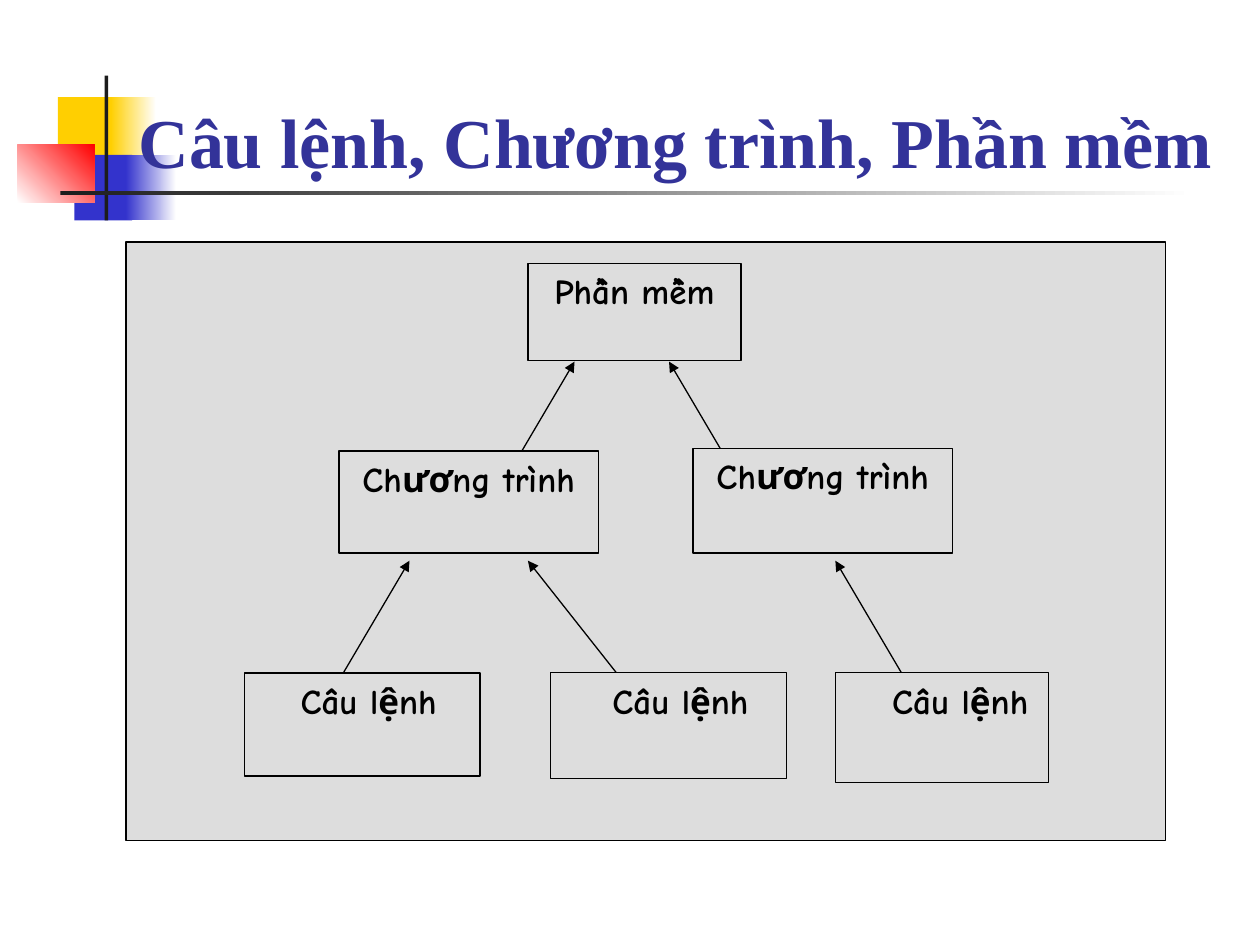
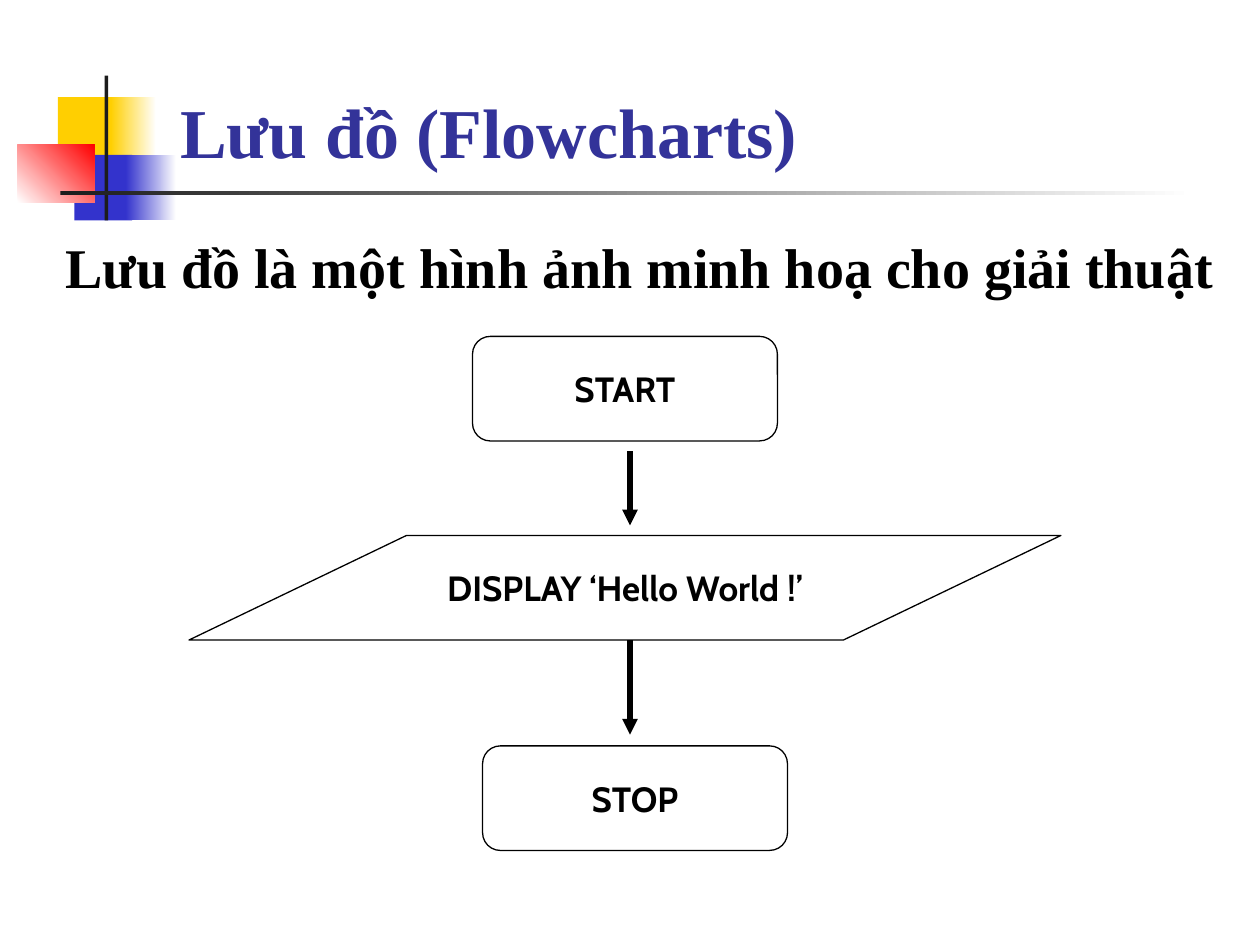
import dataclasses

import lxml.etree
import pptx
import pptx.dml.color
import pptx.enum.shapes
import pptx.enum.text
import pptx.oxml.ns
import pptx.util

Inches = pptx.util.Inches
Pt = pptx.util.Pt
RGB = pptx.dml.color.RGBColor.from_string
ShapeKind = pptx.enum.shapes.MSO_SHAPE
Align = pptx.enum.text.PP_ALIGN
Anchor = pptx.enum.text.MSO_ANCHOR


@dataclasses.dataclass(frozen=True)
class Theme:
    yellow = RGB("FFCF01")
    blue = RGB("3333CC")
    red = RGB("FF0000")
    white = RGB("FFFFFF")
    black = RGB("000000")
    rule = RGB("1C1C1C")
    gray = RGB("DDDDDD")
    title = RGB("333399")
    serif = "Times New Roman"
    tree_font = "Comic Neue"
    flow_font = "Cabin"
    title_size = Pt(40)
    lead_size = Pt(32)
    label_size = Pt(20)
    thin = Pt(0.75)
    thick = Pt(3)


theme = Theme()


def add_text(shape, text, font_name, size, color, align, anchor):
    frame = shape.text_frame
    frame.vertical_anchor = anchor
    paragraph = frame.paragraphs[0]
    paragraph.alignment = align
    run = paragraph.add_run()
    run.text = text
    run.font.name = font_name
    run.font.size = size
    run.font.bold = True
    run.font.color.rgb = color
    return paragraph


def add_arrow(shapes, start, end, width):
    arrow = shapes.add_connector(
        pptx.enum.shapes.MSO_CONNECTOR.STRAIGHT,
        *[Inches(value) for value in (*start, *end)])
    arrow.line.color.rgb = theme.black
    arrow.line.width = width
    line = arrow.line._get_or_add_ln()
    lxml.etree.SubElement(line, pptx.oxml.ns.qn("a:tailEnd"), type="triangle")
    lxml.etree.SubElement(line.getparent(), pptx.oxml.ns.qn("a:effectLst"))


presentation = pptx.Presentation()
presentation.slide_width = Inches(10)
presentation.slide_height = Inches(7.5)

decorations = [
    (0.46, 0.77, 0.48, 0.52, [theme.yellow], 0),
    (0.88, 0.77, 0.36, 0.52, [theme.yellow, theme.white], 0),
    (0.59, 1.23, 0.46, 0.52, [theme.blue], 0),
    (1, 1.23, 0.4, 0.52, [theme.blue, theme.white], 0),
    (0.14, 1.15, 0.61, 0.46, [theme.white, theme.red], 45),
    (0.83, 0.6, 0.03, 1.15, [theme.rule], 0),
    (0.48, 1.52, 9, 0.03, [theme.rule, theme.white], 0),
]
titles = [
    ("Câu lệnh, Chương trình, Phần mềm", 1, 0.58),
    ("Lưu đồ (Flowcharts)", 1.33, 0.5),
]
title_right = 9.75

slides = []
for title_text, title_left, title_top in titles:
    slide = presentation.slides.add_slide(presentation.slide_layouts[5])
    slides.append(slide)
    for left, top, width, height, colors, angle in decorations:
        block = slide.shapes.add_shape(
            ShapeKind.RECTANGLE, Inches(left), Inches(top), Inches(width), Inches(height))
        block.shadow.inherit = False
        block.line.fill.background()
        if len(colors) == 1:
            block.fill.solid()
            block.fill.fore_color.rgb = colors[0]
        else:
            block.fill.gradient()
            block.fill.gradient_angle = angle
            for stop, color in zip(block.fill.gradient_stops, colors):
                stop.color.rgb = color
    title = slide.shapes.title
    title.left, title.top = Inches(title_left), Inches(title_top)
    title.width, title.height = Inches(title_right - title_left), Inches(0.92)
    title.text_frame.auto_size = pptx.enum.text.MSO_AUTO_SIZE.NONE
    add_text(title, title_text, theme.serif, theme.title_size, theme.title,
             Align.LEFT, Anchor.BOTTOM)
    title.element.getparent().append(title.element)

tree_slide, flow_slide = slides

tree = tree_slide.shapes.add_group_shape().shapes
panel = tree.add_shape(
    ShapeKind.RECTANGLE, Inches(1), Inches(1.92), Inches(8.25), Inches(4.75))
panel.shadow.inherit = False
panel.fill.solid()
panel.fill.fore_color.rgb = theme.gray
panel.line.color.rgb = theme.black
panel.line.width = theme.thin

tree_arrows = [
    ((2.69, 5.4), (3.25, 4.45)),
    ((4.94, 5.4), (4.19, 4.45)),
    ((7.19, 5.4), (6.63, 4.45)),
    ((4, 3.82), (4.56, 2.87)),
    ((5.87, 3.82), (5.31, 2.87)),
]
for start, end in tree_arrows:
    add_arrow(tree, start, end, theme.thin)

tree_nodes = [
    ("Phần mềm", 4.19, 2.09, 1.69, 0.77, 0),
    ("Chương trình", 5.5, 3.56, 2.06, 0.83, 0),
    ("Chương trình", 2.69, 3.58, 2.06, 0.81, 0),
    ("Câu lệnh", 1.94, 5.34, 1.87, 0.82, 0.1),
    ("Câu lệnh", 4.37, 5.34, 1.87, 0.84, 0.19),
    ("Câu lệnh", 6.63, 5.34, 1.69, 0.87, 0.29),
]
for text, left, top, width, height, indent in tree_nodes:
    node = tree.add_shape(
        ShapeKind.RECTANGLE, Inches(left), Inches(top), Inches(width), Inches(height))
    node.shadow.inherit = False
    node.fill.solid()
    node.fill.fore_color.rgb = theme.gray
    node.line.color.rgb = theme.black
    node.line.width = theme.thin
    node.text_frame.margin_left = Inches(0.1 + indent)
    add_text(node, text, theme.tree_font, theme.label_size, theme.black,
             Align.CENTER, Anchor.TOP)

lead = flow_slide.shapes.add_textbox(Inches(0.42), Inches(1.8), Inches(9.33), Inches(0.64))
lead.text_frame.word_wrap = True
lead_paragraph = add_text(
    lead, "Lưu đồ là một hình ảnh minh hoạ cho giải thuật", theme.serif,
    theme.lead_size, theme.black, Align.LEFT, Anchor.TOP)
lead_paragraph.space_before = Pt(4)

flow_steps = [
    ("START", ShapeKind.ROUNDED_RECTANGLE, 3.75, 2.67, 2.42, 0.17),
    ("DISPLAY ‘Hello World !’", ShapeKind.PARALLELOGRAM, 1.5, 4.25, 6.92, 2.08),
    ("STOP", ShapeKind.ROUNDED_RECTANGLE, 3.83, 5.92, 2.42, 0.17),
]
for text, kind, left, top, width, adjustment in flow_steps:
    step = flow_slide.shapes.add_shape(
        kind, Inches(left), Inches(top), Inches(width), Inches(0.83))
    step.adjustments[0] = adjustment
    step.shadow.inherit = False
    step.fill.solid()
    step.fill.fore_color.rgb = theme.white
    step.line.color.rgb = theme.black
    step.line.width = theme.thin
    step.text_frame.word_wrap = False
    add_text(step, text, theme.flow_font, theme.label_size, theme.black,
             Align.CENTER, Anchor.MIDDLE)

for top, bottom in [(3.58, 4.17), (5.08, 5.83)]:
    add_arrow(flow_slide.shapes, (5, top), (5, bottom), theme.thick)

presentation.save("out.pptx")
